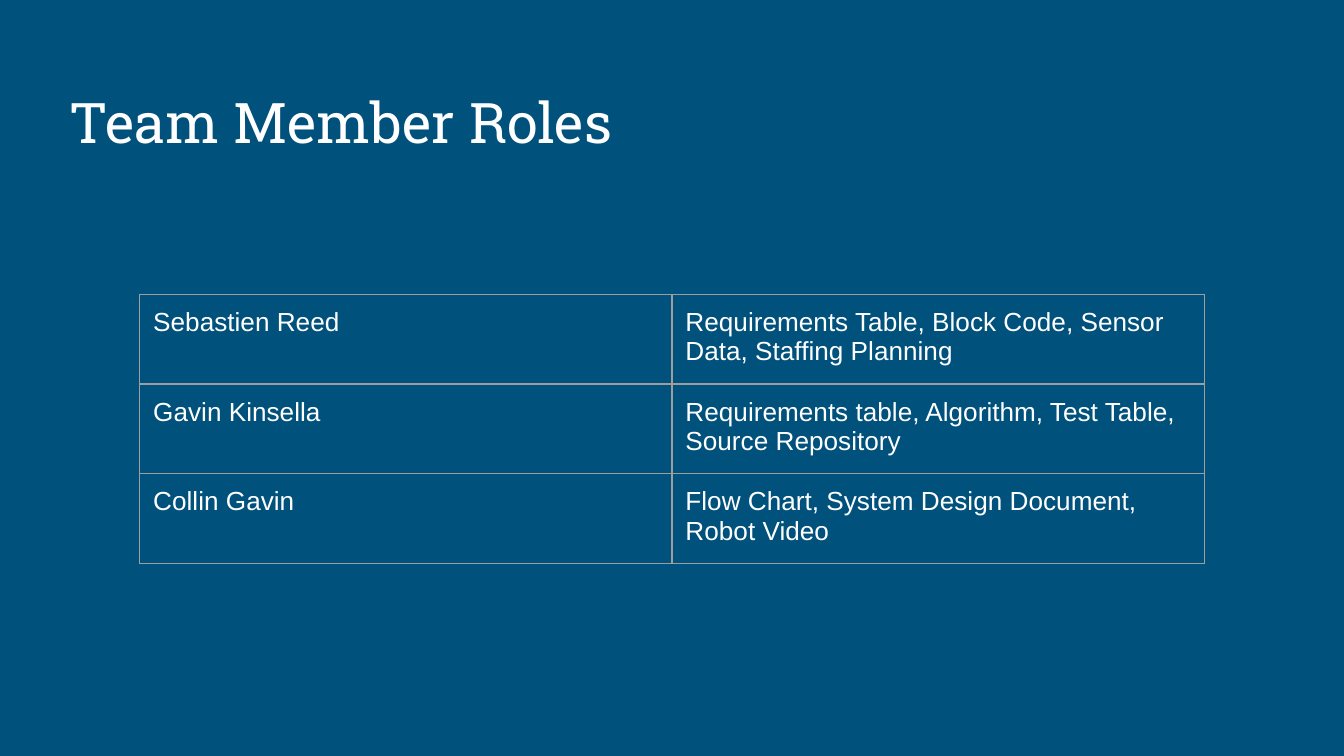
from typing import NamedTuple

import pptx
import pptx.dml.color
import pptx.enum.text
import pptx.oxml
import pptx.oxml.ns
import pptx.util
from pptx.util import Inches

WHITE = "FFFFFF"
NAVY = "00517C"
GREY = "9E9E9E"
MARGIN = Inches(0.1)


class Member(NamedTuple):
    name: str
    roles: str


MEMBERS = [
    Member("Sebastien Reed", "Requirements Table, Block Code, Sensor Data, Staffing Planning"),
    Member("Gavin Kinsella", "Requirements table, Algorithm, Test Table, Source Repository"),
    Member("Collin Gavin", "Flow Chart, System Design Document, Robot Video"),
]


def rgb(value: str) -> pptx.dml.color.RGBColor:
    return pptx.dml.color.RGBColor.from_string(value)


def write(tf: pptx.text.text.TextFrame, text: str, font: str, size: int) -> None:
    p = tf.paragraphs[0]
    p.text = text
    p.font.name = font
    p.font.size = pptx.util.Pt(size)
    p.font.color.rgb = rgb(WHITE)
    p._p.get_or_add_endParaRPr().set("sz", str(size * 100))


def set_margins(box: pptx.text.text.TextFrame | pptx.table._Cell) -> None:
    box.margin_left = box.margin_right = MARGIN
    box.margin_top = box.margin_bottom = MARGIN


def add_borders(cell: pptx.table._Cell, color: str, width: float) -> None:
    tc_pr = cell._tc.get_or_add_tcPr()
    for index, side in enumerate(("lnL", "lnR", "lnT", "lnB")):
        line = pptx.oxml.parse_xml(
            f'<a:{side} {pptx.oxml.ns.nsdecls("a")} w="{pptx.util.Pt(width)}">'
            f'<a:solidFill><a:srgbClr val="{color}"/></a:solidFill></a:{side}>'
        )
        tc_pr.insert(index, line)


def add_title(slide: pptx.slide.Slide, text: str) -> None:
    sp = slide.shapes.add_textbox(Inches(0.42), Inches(0.5), Inches(9.15), Inches(0.75))
    tf = sp.text_frame
    tf.word_wrap = True
    tf.vertical_anchor = pptx.enum.text.MSO_ANCHOR.BOTTOM
    set_margins(tf)
    write(tf, text, "Roboto Slab", 30)


def add_roles_table(slide: pptx.slide.Slide, members: list[Member]) -> None:
    columns = len(Member._fields)
    table = slide.shapes.add_table(
        len(members), columns, Inches(1.04), Inches(2.19),
        Inches(3.96 * columns), Inches(0.42 * len(members)),
    ).table
    table.first_row = False
    table.horz_banding = False
    for row, member in zip(table.rows, members):
        for cell, text in zip(row.cells, member):
            write(cell.text_frame, text, "Arial", 14)
            set_margins(cell)
            cell.fill.background()
            add_borders(cell, GREY, 0.75)


def main() -> None:
    prs = pptx.Presentation()
    prs.slide_width = Inches(10)
    prs.slide_height = Inches(10 * 9 / 16)
    slide = prs.slides.add_slide(prs.slide_layouts[6])
    fill = slide.background.fill
    fill.solid()
    fill.fore_color.rgb = rgb(NAVY)
    add_title(slide, "Team Member Roles")
    add_roles_table(slide, MEMBERS)
    prs.save("out.pptx")


if __name__ == "__main__":
    main()
